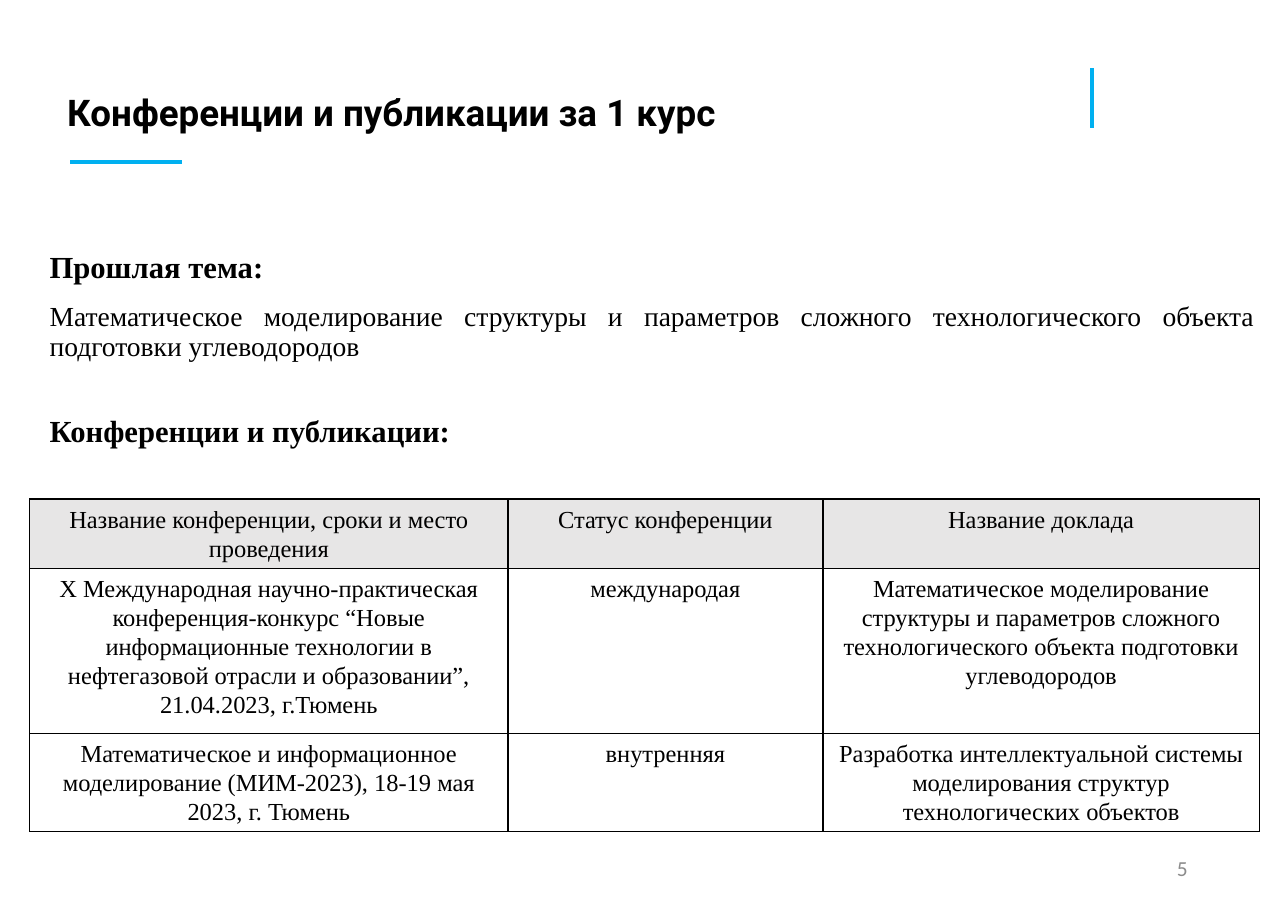
from lxml import etree
from pptx import Presentation
from pptx import util as u
from pptx.dml import color
from pptx.enum import shapes, text
from pptx.oxml import ns

PX = 9144  # one px is a hundredth of an inch
SERIF = "Times New Roman"


def rgb(value):
    return color.RGBColor.from_string(value)


def format_paragraph(paragraph, size, font, align, hex_color="000000", bold=False):
    paragraph.alignment = align
    for run in paragraph.runs:
        run.font.size = u.Pt(size)
        run.font.name = font
        run.font.bold = bold
        run.font.color.rgb = rgb(hex_color)


presentation = Presentation()
presentation.slide_width, presentation.slide_height = 1169 * PX, 827 * PX
slide = presentation.slides.add_slide(presentation.slide_layouts[3])
title, topic, conferences = slide.placeholders

# Accent lines
for x1, y1, x2, y2, width in [(64, 147, 165, 147, 3), (991, 62, 991, 116, 2.25)]:
    accent = slide.shapes.add_connector(
        shapes.MSO_CONNECTOR.STRAIGHT, x1 * PX, y1 * PX, x2 * PX, y2 * PX)
    accent.line.color.rgb = rgb("00B0F0")
    accent.line.width = u.Pt(width)
    etree.SubElement(accent._element.spPr, ns.qn("a:effectLst"))

# Title and the two text blocks
LEFT, JUSTIFY = text.PP_ALIGN.LEFT, text.PP_ALIGN.JUSTIFY
blocks = [
    (title, (50, 80, 720, 56), LEFT,
     [("Конференции и публикации за 1 курс", 24, "Roboto", True)]),
    (topic, (34, 223, 1116, 103), JUSTIFY,
     [("Прошлая тема:", 20, SERIF, True),
      ("Математическое моделирование структуры и параметров сложного "
       "технологического объекта подготовки углеводородов", 18, SERIF, False)]),
    (conferences, (34, 372, 1116, 103), JUSTIFY,
     [("Конференции и публикации:", 20, SERIF, True)]),
]
for shape, box, align, lines in blocks:
    shape.left, shape.top, shape.width, shape.height = [n * PX for n in box]
    frame = shape.text_frame
    frame.auto_size = text.MSO_AUTO_SIZE.NONE
    frame.vertical_anchor = text.MSO_ANCHOR.TOP
    frame.margin_left = frame.margin_right = 11 * PX
    frame.margin_top = frame.margin_bottom = 6 * PX
    frame.text = "\n".join(line[0] for line in lines)
    for paragraph, (_, size, font, bold) in zip(frame.paragraphs, lines):
        format_paragraph(paragraph, size, font, align, bold=bold)
        paragraph.line_spacing = 0.9
        paragraph.space_before = u.Pt(11.4)
        properties = paragraph._p.get_or_add_pPr()
        properties.set("marL", "0")
        properties.set("indent", "0")
        etree.SubElement(properties, ns.qn("a:buNone"))

# Table of conferences
rows = [
    ("Название конференции, сроки и место проведения",
     "Статус конференции",
     "Название доклада"),
    ("X Международная научно-практическая конференция-конкурс “Новые "
     "информационные технологии в нефтегазовой отрасли и образовании”, "
     "21.04.2023, г.Тюмень",
     "международая",
     "Математическое моделирование структуры и параметров сложного "
     "технологического объекта подготовки углеводородов"),
    ("Математическое и информационное моделирование (МИМ-2023), "
     "18-19 мая 2023, г. Тюмень",
     "внутренняя",
     "Разработка интеллектуальной системы моделирования структур "
     "технологических объектов"),
]
table = slide.shapes.add_table(3, 3, 27 * PX, 453 * PX, 1116 * PX, 286 * PX).table
table.first_row = table.horz_banding = False
for column, width in zip(table.columns, (434, 286, 396)):
    column.width = width * PX
for row, height in zip(table.rows, (60, 150, 76)):
    row.height = height * PX

for row_index, row in enumerate(rows):
    for column_index, wording in enumerate(row):
        cell = table.cell(row_index, column_index)
        cell.text_frame.text = wording
        cell.margin_left = cell.margin_right = 7 * PX
        cell.margin_top = cell.margin_bottom = 5 * PX
        paragraph = cell.text_frame.paragraphs[0]
        format_paragraph(paragraph, 16, SERIF, text.PP_ALIGN.CENTER)
        paragraph.line_spacing = 1.07
        paragraph.space_after = u.Pt(8)
        # Borders come before the fill in the cell properties
        properties = cell._tc.get_or_add_tcPr()
        for side in ("a:lnL", "a:lnR", "a:lnT", "a:lnB"):
            border = etree.SubElement(properties, ns.qn(side), w=str(u.Pt(0.96)))
            fill = etree.SubElement(border, ns.qn("a:solidFill"))
            etree.SubElement(fill, ns.qn("a:srgbClr"), val="000000")
        if row_index == 0:
            cell.fill.solid()
            cell.fill.fore_color.rgb = rgb("E7E6E6")
        else:
            cell.fill.background()

# Slide number
number = slide.shapes.add_textbox(826 * PX, 766 * PX, 263 * PX, 44 * PX)
frame = number.text_frame
frame.word_wrap = True
frame.vertical_anchor = text.MSO_ANCHOR.MIDDLE
frame.margin_left = frame.margin_right = 11 * PX
frame.text = "5"
format_paragraph(frame.paragraphs[0], 14, "Calibri", text.PP_ALIGN.RIGHT, "8C8C8C")

presentation.save("out.pptx")
